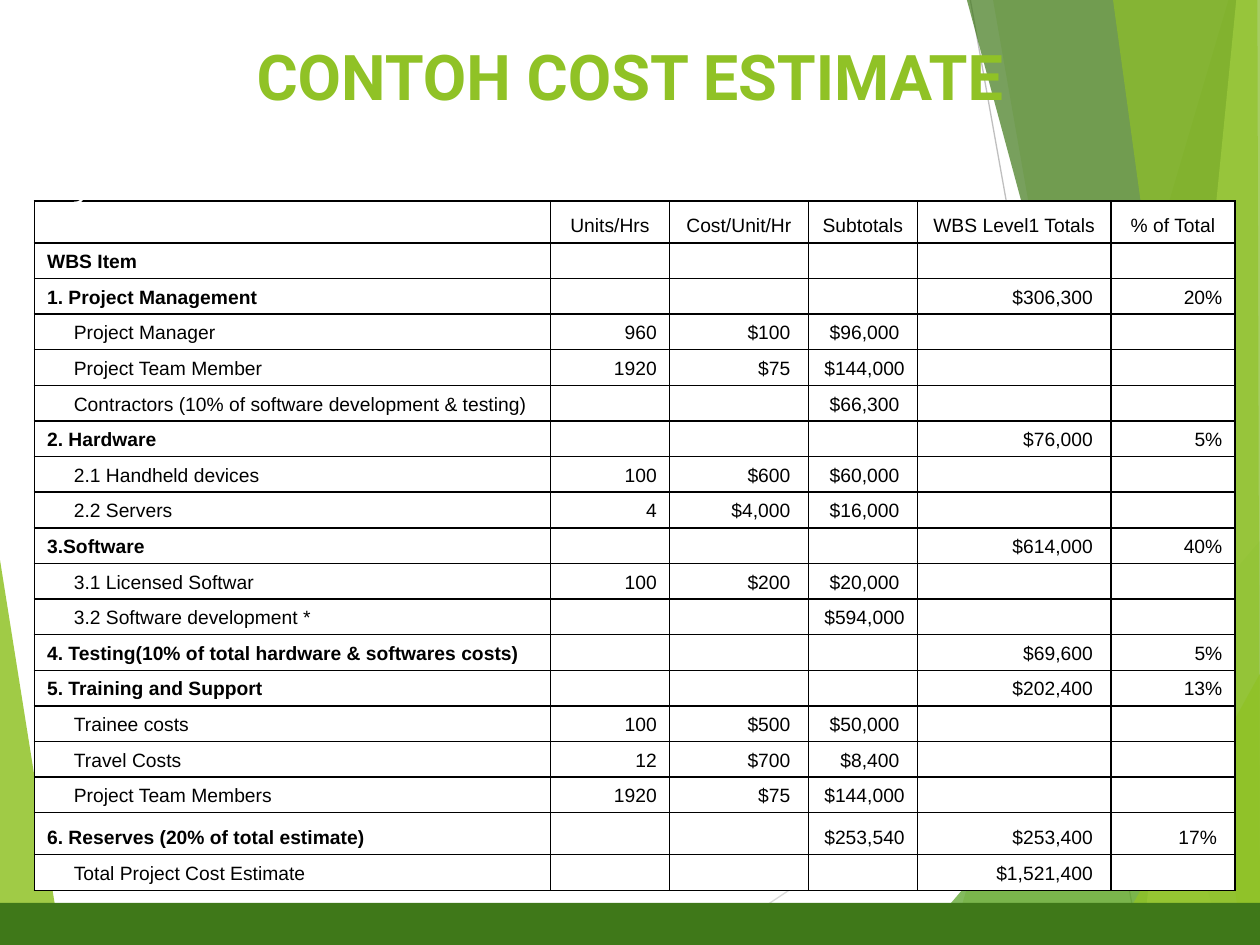
from lxml.etree import SubElement
from pptx import Presentation
from pptx.dml.color import RGBColor
from pptx.enum.shapes import MSO_CONNECTOR, MSO_SHAPE
from pptx.enum.text import MSO_ANCHOR, PP_ALIGN
from pptx.oxml.ns import qn
from pptx.util import Pt


def hue(code):
    return RGBColor.from_string(code)


def paint(shape, code, alpha=100):
    shape.shadow.inherit = False
    shape.line.fill.background()
    shape.fill.solid()
    shape.fill.fore_color.rgb = hue(code)
    if alpha < 100:
        color = shape.fill._xPr.find(qn("a:solidFill"))[0]
        SubElement(color, qn("a:alpha"), val=str(alpha * 1000))


deck = Presentation()
deck.slide_width, deck.slide_height = Pt(720), Pt(540)
slide = deck.slides.add_slide(deck.slide_layouts[5])
shapes = slide.shapes

# Thin background lines
for x1, y1, x2, y2, code in [(404, 540, 720, 329, "D9D9D9"),
                             (554.5, 0, 651, 540, "BFBFBF")]:
    line = shapes.add_connector(MSO_CONNECTOR.STRAIGHT,
                                Pt(x1), Pt(y1), Pt(x2), Pt(y2))
    line.line.color.rgb = hue(code)
    line.line.width = Pt(0.75)
    SubElement(line._element.spPr, qn("a:effectLst"))

# Translucent green facets
facets = [
    ("90C226", 85, [(0, 320), (35, 540), (0, 540)]),
    ("90C226", 30, [(702, 0), (543, 540), (720, 540), (720, 0)]),
    ("90C226", 20, [(567.5, 0), (662, 540), (720, 540), (720, 0)]),
    ("54A021", 72, [(523, 540), (720, 309), (720, 540)]),
    ("3F7819", 70, [(552.5, 0), (698.5, 540), (720, 540), (720, 0)]),
    ("C0E474", 70, [(706.5, 0), (653, 540), (720, 540), (720, 0)]),
    ("90C226", 65, [(636, 0), (710, 540), (720, 540), (718.5, 0)]),
    ("90C226", 80, [(634.5, 540), (720, 385), (720, 540)]),
]
for code, alpha, dots in facets:
    dots = [(Pt(x), Pt(y)) for x, y in dots]
    pen = shapes.build_freeform(*dots[0])
    pen.add_line_segments(dots[1:], close=True)
    paint(pen.convert_to_shape(), code, alpha)

# Footer band
band = shapes.add_shape(MSO_SHAPE.RECTANGLE, 0, Pt(516), Pt(720), Pt(24))
paint(band, "3F7819")

# Title, raised above the facets
title = shapes.title
shapes._spTree.append(title._element)
title.left, title.top, title.width, title.height = 0, Pt(18), Pt(720), Pt(78)
frame = title.text_frame
frame.text = "CONTOH COST ESTIMATE"
frame.vertical_anchor = MSO_ANCHOR.TOP
frame.paragraphs[0].alignment = PP_ALIGN.CENTER
font = frame.paragraphs[0].runs[0].font
font.name, font.size, font.bold = "Roboto", Pt(36), True
font.color.rgb = hue("90C226")

# Cost table: item, units, unit cost, subtotal, level total, share
rows = [
    ("", "Units/Hrs", "Cost/Unit/Hr", "Subtotals", "WBS Level1 Totals",
     "% of Total"),
    ("WBS Item", "", "", "", "", ""),
    ("1. Project Management", "", "", "", "$306,300", "20%"),
    ("Project Manager", "960", "$100", "$96,000", "", ""),
    ("Project Team Member", "1920", "$75", "$144,000", "", ""),
    ("Contractors (10% of software development & testing)", "", "",
     "$66,300", "", ""),
    ("2. Hardware", "", "", "", "$76,000", "5%"),
    ("2.1 Handheld devices", "100", "$600", "$60,000", "", ""),
    ("2.2 Servers", "4", "$4,000", "$16,000", "", ""),
    ("3.Software", "", "", "", "$614,000", "40%"),
    ("3.1 Licensed Softwar", "100", "$200", "$20,000", "", ""),
    ("3.2 Software development *", "", "", "$594,000", "", ""),
    ("4. Testing(10% of total hardware & softwares costs)", "", "", "",
     "$69,600", "5%"),
    ("5. Training and Support", "", "", "", "$202,400", "13%"),
    ("Trainee costs", "100", "$500", "$50,000", "", ""),
    ("Travel Costs", "12", "$700", "$8,400", "", ""),
    ("Project Team Members", "1920", "$75", "$144,000", "", ""),
    ("6. Reserves (20% of total estimate)", "", "", "$253,540", "$253,400",
     "17%"),
    ("Total Project Cost Estimate", "", "", "", "$1,521,400", ""),
]
heads = {1, 2, 6, 9, 12, 13, 17}
tall = {0, 17}
widths = [294.9, 68, 79.4, 62.3, 110.6, 70.9]
heights = [24 if r in tall else 19.62 for r in range(len(rows))]
grid = shapes.add_table(len(rows), len(widths), Pt(19.7), Pt(114.8),
                        Pt(sum(widths)), Pt(sum(heights))).table
grid.first_row = grid.horz_banding = False
for col, width in zip(grid.columns, widths):
    col.width = Pt(width)

for r, row in enumerate(rows):
    grid.rows[r].height = Pt(heights[r])
    for c, word in enumerate(row):
        cell = grid.cell(r, c)
        cell.vertical_anchor = MSO_ANCHOR.BOTTOM
        cell.margin_top = cell.margin_bottom = Pt(3.4)
        cell.margin_left = cell.margin_right = Pt(7.2)
        par = cell.text_frame.paragraphs[0]
        if r == 0:
            par.alignment = PP_ALIGN.CENTER
        elif c == 0:
            cell.margin_left = Pt(7.2 if r in heads else 22.5)
        else:
            par.alignment = PP_ALIGN.RIGHT
            cell.margin_left = Pt(2)
            # Amounts sit a little further in, unless the column is too tight
            tight = c == 3 and len(word) > 7
            if word.startswith("$") and not tight or word == "17%":
                cell.margin_right = Pt(10.3)
        if word:
            par.text = word
            font = par.runs[0].font
            font.name, font.size = "Arial", Pt(11)
            font.bold = c == 0 and r in heads
            font.color.rgb = hue("000000")
        else:
            SubElement(par._p, qn("a:endParaRPr"), sz="1100")

        # Borders come before the fill in the cell properties
        props = cell._tc.get_or_add_tcPr()
        for side in ("a:lnL", "a:lnR", "a:lnT", "a:lnB"):
            edge = SubElement(props, qn(side), w=str(Pt(1)))
            solid = SubElement(edge, qn("a:solidFill"))
            SubElement(solid, qn("a:srgbClr"), val="000000")
        cell.fill.solid()
        cell.fill.fore_color.rgb = hue("FFFFFF")

# Page number
box = shapes.add_textbox(Pt(-9.4), Pt(75.6), Pt(66.2), Pt(67.7))
frame = box.text_frame
frame.word_wrap = True
frame.vertical_anchor = MSO_ANCHOR.MIDDLE
frame.text = "9"
frame.paragraphs[0].alignment = PP_ALIGN.RIGHT
font = frame.paragraphs[0].runs[0].font
font.name, font.size = "Roboto", Pt(18)
font.color.rgb = hue("FFFFFF")

deck.save("out.pptx")
